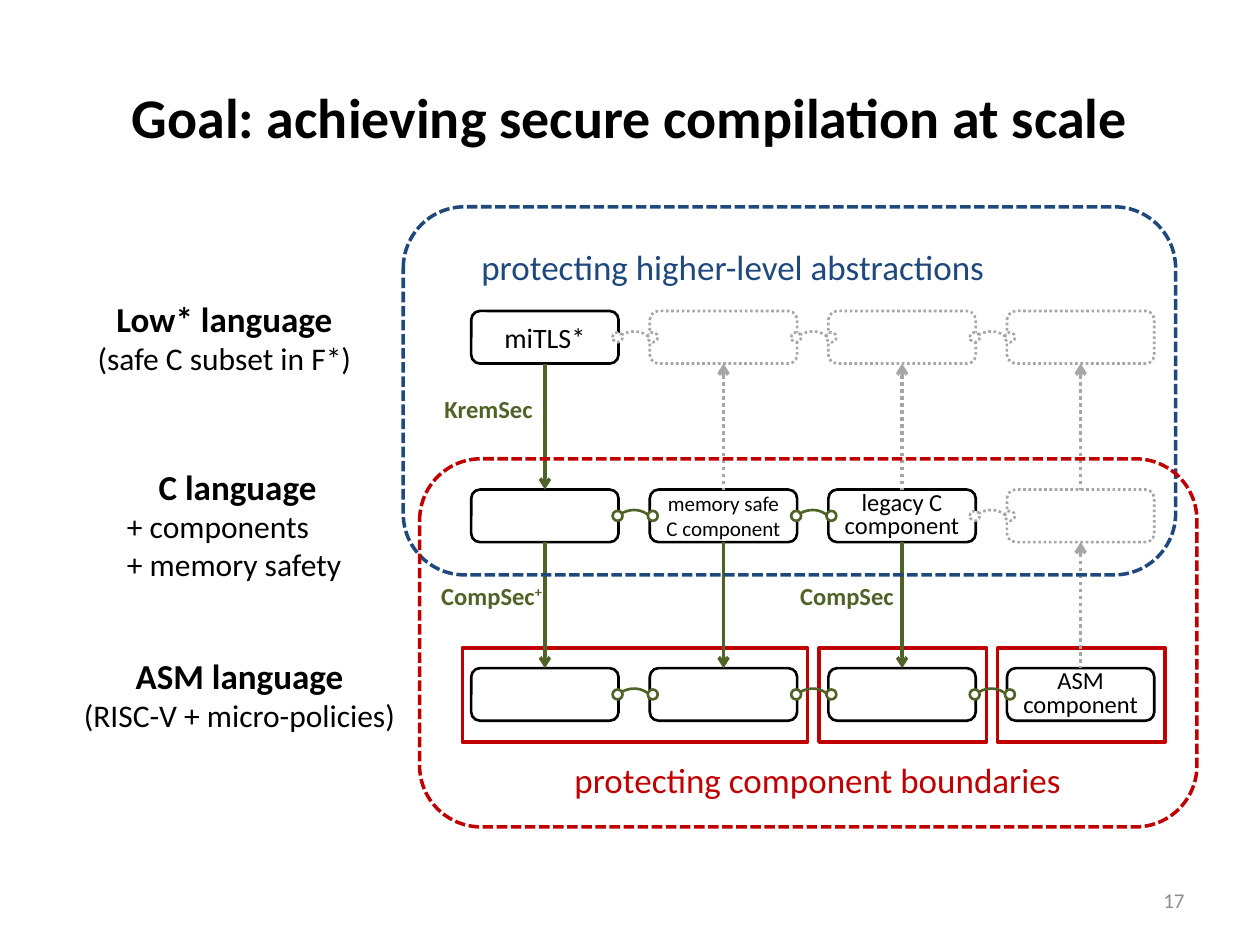
from pptx import Presentation
from pptx.dml.color import RGBColor
from pptx.enum.dml import MSO_LINE
from pptx.enum.shapes import MSO_CONNECTOR, MSO_SHAPE
from pptx.enum.text import MSO_ANCHOR, MSO_AUTO_SIZE, PP_ALIGN
from pptx.oxml.ns import qn
from pptx.util import Cm, Pt
from lxml import etree

BLACK = RGBColor(0x00, 0x00, 0x00)
WHITE = RGBColor(0xFF, 0xFF, 0xFF)
GRAY = RGBColor(0xA6, 0xA6, 0xA6)
NUMBER_GRAY = RGBColor(0x8C, 0x8C, 0x8C)
GREEN = RGBColor(0x4F, 0x62, 0x28)
RED = RGBColor(0xC0, 0x00, 0x00)
BLUE = RGBColor(0x1F, 0x49, 0x7D)

RECTANGLE, ROUNDED = MSO_SHAPE.RECTANGLE, MSO_SHAPE.ROUNDED_RECTANGLE
ARC, OVAL = MSO_SHAPE.ARC, MSO_SHAPE.OVAL
DOTTED, DASHED = MSO_LINE.ROUND_DOT, MSO_LINE.SQUARE_DOT
LEFT, CENTER, RIGHT = PP_ALIGN.LEFT, PP_ALIGN.CENTER, PP_ALIGN.RIGHT
TOP_SITE, BOTTOM_SITE = 0, 2

PITCH = 3.6
GRID_LEFT, GRID_TOP = 9.5, 6.27
BOX_WIDTH, BOX_HEIGHT = 2.97, 1.06
ROWS, COLUMNS = 3, 4
ACTIVE_COLUMNS = [1, 3, 4]  # solid boxes per row, counted from the left


def add_outlined(shapes, kind, place, color, width, dash=None, fill=None):
    shape = shapes.add_shape(kind, *map(Cm, place))
    shape.shadow.inherit = False
    shape.line.color.rgb = color
    for name, value in {"width": Pt(width), "dash_style": dash}.items():
        setattr(shape.line, name, value)
    if fill is None:
        shape.fill.background()
    else:
        shape.fill.solid()
        shape.fill.fore_color.rgb = fill
    return shape


def write_lines(frame, lines, color, alignment=CENTER):
    """Fill the frame with one paragraph for each (text, size, bold)."""
    for index, (text, size, bold) in enumerate(lines):
        paragraph = frame.add_paragraph() if index else frame.paragraphs[0]
        paragraph.alignment = alignment
        run = paragraph.add_run()
        run.text = text
        run.font.color.rgb = color
        font_format = {"name": "Calibri", "size": Pt(size), "bold": bold}
        for name, value in font_format.items():
            setattr(run.font, name, value)


presentation = Presentation()
presentation.slide_width = Cm(25.4)
presentation.slide_height = Cm(19.05)
slide = presentation.slides.add_slide(presentation.slide_layouts[5])
shapes = slide.shapes

# Title
title = shapes.title
title.left, title.top, title.width, title.height = map(Cm, (1.27, 0.76, 22.86, 3.18))
title.text_frame.vertical_anchor = MSO_ANCHOR.MIDDLE
write_lines(title.text_frame,
            [("Goal: achieving secure compilation at scale", 32, True)], BLACK)

# Protection domains around the ASM components
for left, width in [(9.32, 6.96), (16.51, 3.38), (20.11, 3.38)]:
    add_outlined(shapes, RECTANGLE, (left, 13.06, width, 1.9), RED, 2)

# Component boxes
box_texts = {
    (0, 0): ("miTLS*", 16, 1.0),
    (1, 1): ("memory safe C component", 12, 1.0),
    (1, 2): ("legacy C component", 14, 0.8),
    (2, 3): ("ASM component", 14, 0.8),
}
boxes = {}
for row in range(ROWS):
    for column in range(COLUMNS):
        active = column < ACTIVE_COLUMNS[row]
        place = (GRID_LEFT + column * PITCH, GRID_TOP + row * PITCH,
                 BOX_WIDTH, BOX_HEIGHT)
        box = add_outlined(shapes, ROUNDED, place, BLACK if active else GRAY, 1.5,
                           None if active else DOTTED, WHITE)
        boxes[row, column] = box
        if (row, column) in box_texts:
            text, size, spacing = box_texts[row, column]
            write_lines(box.text_frame, [(text, size, False)], BLACK)
            box.text_frame.vertical_anchor = MSO_ANCHOR.MIDDLE
            box.text_frame.paragraphs[0].line_spacing = spacing

# Compilation arrows point down, dotted ones point up
for row in range(ROWS - 1):
    for column in range(COLUMNS):
        active = column < ACTIVE_COLUMNS[row]
        arrow = shapes.add_connector(MSO_CONNECTOR.STRAIGHT, 0, 0, 0, 0)
        arrow.begin_connect(boxes[row, column], BOTTOM_SITE)
        arrow.end_connect(boxes[row + 1, column], TOP_SITE)
        arrow.line.color.rgb = GREEN if active else GRAY
        arrow.line.width = Pt(2)
        arrow.line.dash_style = None if active else DOTTED
        end = "a:tailEnd" if active else "a:headEnd"
        etree.SubElement(arrow.line._get_or_add_ln(), qn(end), type="arrow")
        etree.SubElement(arrow._element.spPr, qn("a:effectLst"))

# Links between neighbouring components
for row in range(ROWS):
    for column in range(COLUMNS - 1):
        active = column + 1 < ACTIVE_COLUMNS[row]
        color, dash = (GREEN, None) if active else (GRAY, DOTTED)
        left, top = GRID_LEFT + column * PITCH, GRID_TOP + row * PITCH
        link = shapes.add_group_shape().shapes
        arc = add_outlined(link, ARC, (left + 2.75, top + 0.43, 0.99, 0.91),
                           color, 1.5, dash)
        arc.rotation = 317.9
        for offset in (2.85, 3.56):
            add_outlined(link, OVAL, (left + offset, top + 0.43, 0.2, 0.2),
                         color, 1.5, dash, WHITE)

# Frames of the two protection goals
for place, color in [((8.13, 4.17, 15.57, 7.42), BLUE),
                     ((8.46, 9.25, 15.67, 7.42), RED)]:
    add_outlined(shapes, ROUNDED, place, color, 2, DASHED)

# Labels
labels = [
    ((1.68, 5.87, 5.69, 1.88), BLACK, CENTER,
     [("Low* language", 20, True), ("(safe C subset in F*)", 18, False)]),
    ((2.31, 9.25, 5.03, 2.64), BLACK, LEFT,
     [("C language", 20, True), ("+ components", 18, False),
      ("+ memory safety", 18, False)]),
    ((1.4, 13.06, 6.86, 1.88), BLACK, CENTER,
     [("ASM language", 20, True), ("(RISC-V + micro-policies)", 18, False)]),
    ((8.71, 7.82, 2.31, 0.86), GREEN, LEFT, [("KremSec", 14, True)]),
    ((8.59, 11.58, 2.64, 0.86), GREEN, CENTER, [("CompSec", 14, True)]),
    ((15.88, 11.58, 2.39, 0.86), GREEN, CENTER, [("CompSec", 14, True)]),
    ((8.64, 4.83, 12.27, 1.12), BLUE, CENTER,
     [("protecting higher-level abstractions", 20, False)]),
    ((11.28, 15.16, 10.41, 1.12), RED, CENTER,
     [("protecting component boundaries", 20, False)]),
    ((18.2, 17.77, 5.93, 0.77), NUMBER_GRAY, RIGHT, [("17", 12, False)]),
]
frames = []
for place, color, alignment, lines in labels:
    frame = shapes.add_textbox(*map(Cm, place)).text_frame
    single_word = lines[0][0] in ("KremSec", "CompSec")
    frame.word_wrap = not single_word
    frame.auto_size = MSO_AUTO_SIZE.SHAPE_TO_FIT_TEXT
    write_lines(frame, lines, color, alignment)
    frames.append(frame)

# Indented heading of the C language, raised plus of the first CompSec
c_heading = frames[1].paragraphs[0]
c_heading._p.get_or_add_pPr().set("marL", str(Cm(0.64)))
write_plus = frames[4].paragraphs[0].add_run()
write_plus.text = "+"
write_plus.font.color.rgb = GREEN
for name, value in {"name": "Calibri", "size": Pt(14), "bold": True}.items():
    setattr(write_plus.font, name, value)
write_plus._r.get_or_add_rPr().set("baseline", "30000")

presentation.save("out.pptx")
